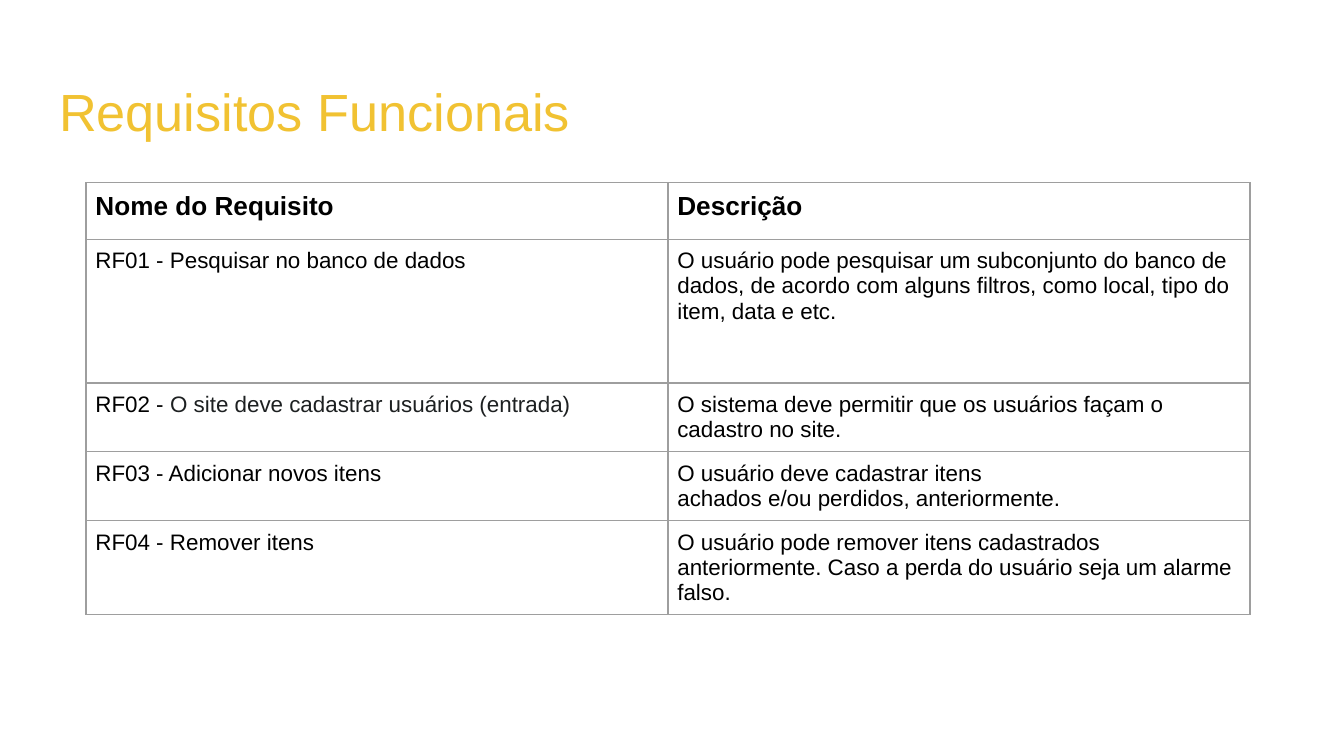
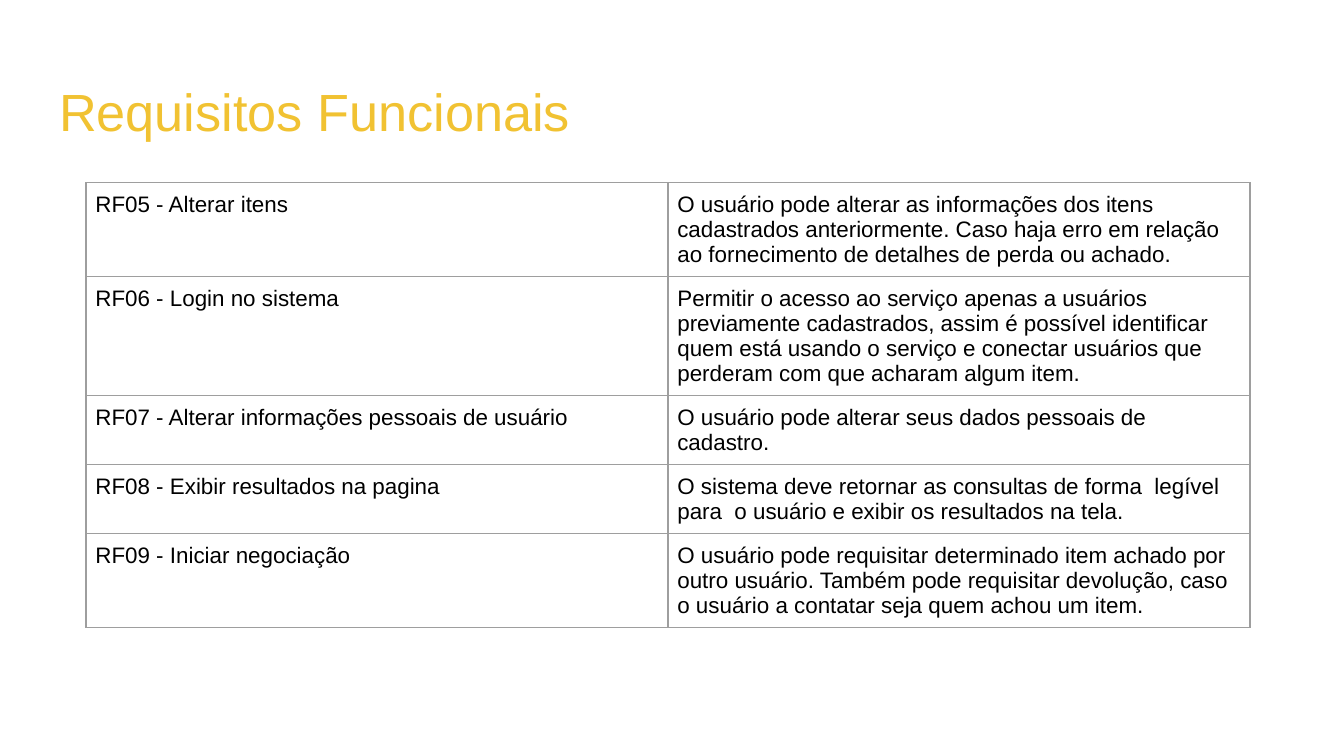
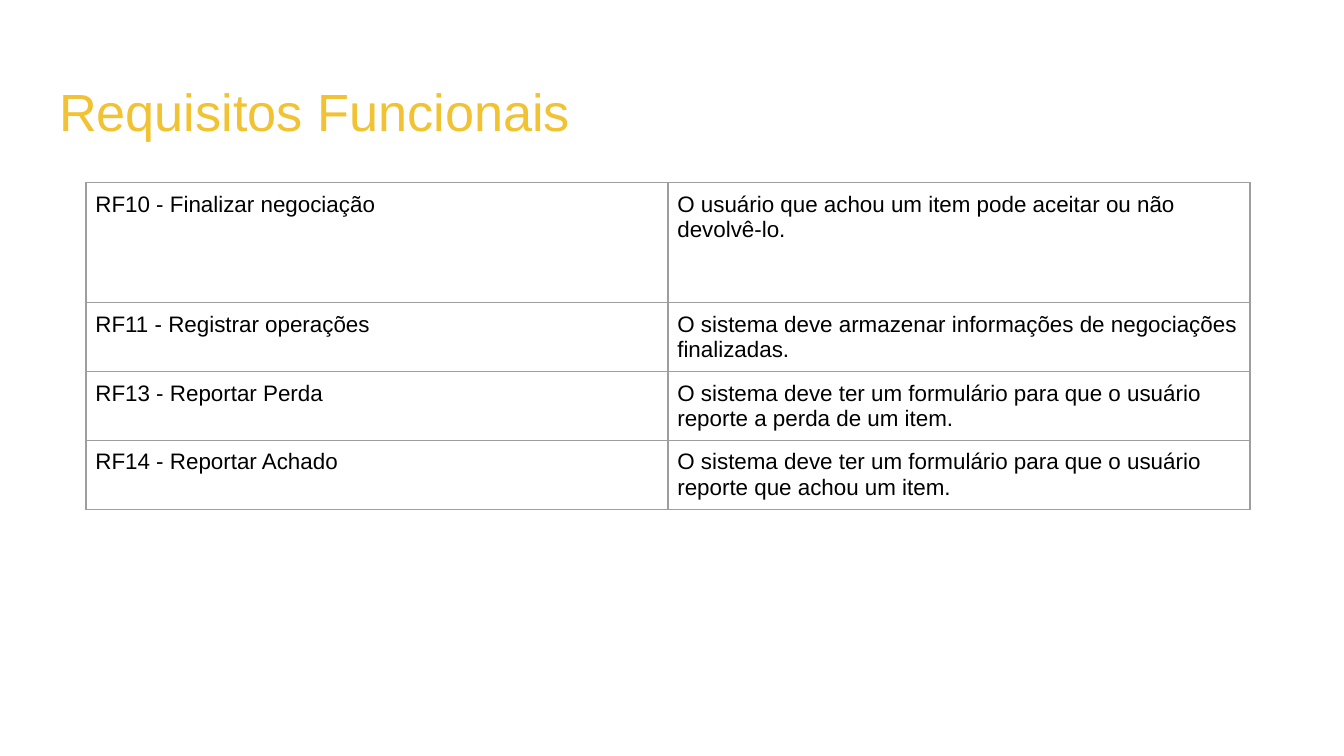
from lxml import etree
from pptx import Presentation
from pptx.dml.color import RGBColor
from pptx.enum.text import MSO_ANCHOR, MSO_AUTO_SIZE, PP_ALIGN
from pptx.oxml.ns import qn
from pptx.util import Inches, Pt

TOP = MSO_ANCHOR.TOP
NO_AUTOFIT = MSO_AUTO_SIZE.NONE
LEFT = PP_ALIGN.LEFT

COLORS = {"title": "F1C232", "text": "000000", "detail": "1D2021", "border": "9E9E9E"}
FONT = "Arial"
TITLE = "Requisitos Funcionais"
TITLE_ONLY_LAYOUT = 5
SLIDE_WIDTH = 10
SLIDE_HEIGHT = SLIDE_WIDTH * 9 / 16
ROW_HEIGHT = 0.42
COLUMN_WIDTH = 4.33

HEADER = ("Nome do Requisito", "Descrição")
SEARCH_AND_ITEMS = [
    HEADER,
    ("RF01 - Pesquisar no banco de dados",
     "O usuário pode pesquisar um subconjunto do banco de dados, de acordo com "
     "alguns filtros, como local, tipo do item, data e etc."),
    ("RF02 - ",
     "O sistema deve permitir que os usuários façam o cadastro no site."),
    ("RF03 - Adicionar novos itens",
     "O usuário deve cadastrar itens\nachados e/ou perdidos, anteriormente."),
    ("RF04 - Remover itens",
     "O usuário pode remover itens cadastrados anteriormente. Caso a perda do "
     "usuário seja um alarme falso."),
]
ACCESS_AND_RESULTS = [
    ("RF05 - Alterar itens",
     "O usuário pode alterar as informações dos itens cadastrados anteriormente. "
     "Caso haja erro em relação ao fornecimento de detalhes de perda ou achado."),
    ("RF06 - Login no sistema",
     "Permitir o acesso ao serviço apenas a usuários previamente cadastrados, "
     "assim é possível identificar quem está usando o serviço e conectar usuários "
     "que perderam com que acharam algum item."),
    ("RF07 - Alterar informações pessoais de usuário",
     "O usuário pode alterar seus dados pessoais de cadastro."),
    ("RF08 - Exibir resultados na pagina",
     "O sistema deve retornar as consultas de forma  legível para  o usuário e "
     "exibir os resultados na tela."),
    ("RF09 - Iniciar negociação",
     "O usuário pode requisitar determinado item achado por outro usuário. Também "
     "pode requisitar devolução, caso o usuário a contatar seja quem achou um item."),
]
NEGOTIATION_AND_REPORTS = [
    ("RF10 - Finalizar negociação",
     "O usuário que achou um item pode aceitar ou não devolvê-lo."),
    ("RF11 - Registrar operações",
     "O sistema deve armazenar informações de negociações finalizadas."),
    ("RF13 - Reportar Perda",
     "O sistema deve ter um formulário para que o usuário reporte a perda de um item."),
    ("RF14 - Reportar Achado",
     "O sistema deve ter um formulário para que o usuário reporte que achou um item."),
]


def format_span(span, size, color, bold=False):
    span.font.name = FONT
    span.font.size = Pt(size)
    span.font.bold = bold
    span.font.color.rgb = RGBColor.from_string(COLORS[color])


def add_title(page):
    box = page.shapes.title
    box.left, box.top = Inches(0.34), Inches(0.49)
    box.width, box.height = Inches(9.32), Inches(0.63)
    frame = box.text_frame
    frame.text = TITLE
    frame.auto_size = NO_AUTOFIT
    frame.vertical_anchor = TOP
    frame.margin_left = frame.margin_right = Inches(0.1)
    frame.margin_top = frame.margin_bottom = Inches(0.1)
    para = frame.paragraphs[0]
    para.alignment = LEFT
    format_span(para.runs[0], 28, "title")


def draw_borders(cell):
    properties = cell._tc.get_or_add_tcPr()
    # Borders come before the fill in the cell properties
    for position, side in enumerate(("lnL", "lnR", "lnT", "lnB")):
        line = etree.Element(qn(f"a:{side}"), w=str(Pt(0.75)))
        fill = etree.SubElement(line, qn("a:solidFill"))
        etree.SubElement(fill, qn("a:srgbClr"), val=COLORS["border"])
        properties.insert(position, line)


def fill_cell(cell, text, is_header):
    cell.text = text
    cell.margin_left = cell.margin_right = Inches(0.07)
    cell.margin_top = cell.margin_bottom = Inches(0.07)
    cell.fill.background()
    draw_borders(cell)
    for para in cell.text_frame.paragraphs:
        for span in para.runs:
            format_span(span, 14 if is_header else 12, "text", is_header)


def add_requirements(page, rows, tall_rows):
    """Rows grow with their text; tall_rows gives taller minimum heights."""
    frame = page.shapes.add_table(
        len(rows), 2, Inches(0.64), Inches(1.36),
        Inches(2 * COLUMN_WIDTH), Inches(ROW_HEIGHT * len(rows)))
    table = frame.table
    table.first_row = table.horz_banding = False
    for column in table.columns:
        column.width = Inches(COLUMN_WIDTH)
    for row_index, texts in enumerate(rows):
        table.rows[row_index].height = Inches(tall_rows.get(row_index, ROW_HEIGHT))
        for column_index, text in enumerate(texts):
            fill_cell(table.cell(row_index, column_index), text, texts is HEADER)
    return table


def add_requirements_page(deck, rows, tall_rows):
    page = deck.slides.add_slide(deck.slide_layouts[TITLE_ONLY_LAYOUT])
    add_title(page)
    return add_requirements(page, rows, tall_rows)


def main():
    deck = Presentation()
    deck.slide_width, deck.slide_height = Inches(SLIDE_WIDTH), Inches(SLIDE_HEIGHT)

    # Search, registration and items
    table = add_requirements_page(deck, SEARCH_AND_ITEMS, {1: 1.07})
    registration = table.cell(2, 0).text_frame.paragraphs[0].add_run()
    registration.text = "O site deve cadastrar usuários (entrada)"
    format_span(registration, 12, "detail")

    # Access and results, then negotiation and reports
    add_requirements_page(deck, ACCESS_AND_RESULTS, {})
    add_requirements_page(deck, NEGOTIATION_AND_REPORTS, {0: 0.89})

    deck.save("out.pptx")


if __name__ == "__main__":
    main()
